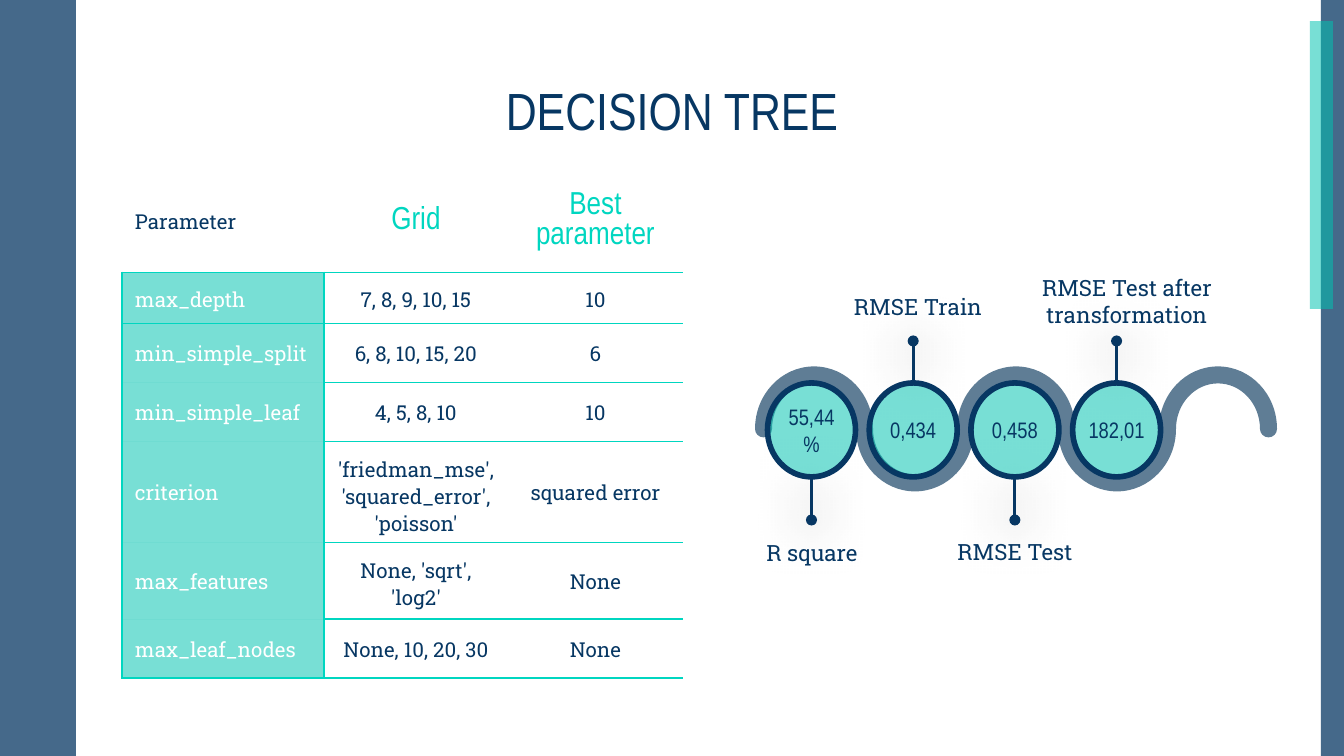
from math import cos, pi, sin

from lxml import etree
from pptx import Presentation
from pptx.dml.color import RGBColor
from pptx.enum.shapes import MSO_CONNECTOR, MSO_SHAPE
from pptx.enum.text import MSO_ANCHOR, PP_ALIGN
from pptx.oxml import parse_xml
from pptx.oxml.ns import nsdecls, qn
from pptx.util import Emu, Pt

PX = 9144000 / 1344  # EMU per px
W, H = 1344, 756

NAVY = RGBColor(0x07, 0x37, 0x63)
TEAL = RGBColor(0x00, 0xC3, 0xB1)
AQUA = RGBColor(0x00, 0xD6, 0xC0)
SLATE = RGBColor(0x5F, 0x7D, 0x95)
WHITE = RGBColor(0xFF, 0xFF, 0xFF)

HEAD, BODY = "Arial Narrow", "Roboto Slab"
PLAIN_TABLE = "{2D5ABB26-0587-4C30-8999-92F81FD0307C}"

TITLE = {"name": HEAD, "size": Pt(28)}
COL_HEAD = {"name": HEAD, "size": Pt(17)}
CELL = {"name": BODY, "size": Pt(11)}
VALUE = {"name": HEAD, "size": Pt(12)}
LABEL = {"name": BODY, "size": Pt(12)}

ROWS = [
    ("Parameter", "Grid", "Best parameter"),
    ("max_depth", "7, 8, 9, 10, 15", "10"),
    ("min_simple_split", "6, 8, 10, 15, 20", "6"),
    ("min_simple_leaf", "4, 5, 8, 10", "10"),
    ("criterion", "'friedman_mse', 'squared_error', 'poisson'", "squared error"),
    ("max_features", "None, 'sqrt', 'log2'", "None"),
    ("max_leaf_nodes", "None, 10, 20, 30", "None"),
]
COL_W = (202, 184, 175)
ROW_H = (88, 43, 59, 59, 99, 65, 59)  # rows grow to hold their text

# value, label, label box relative to the diagram
METRICS = [
    ("55,44 %", "R square", (-17, 265, 148, 50)),
    ("0,434", "RMSE Train", (89, 19, 148, 50)),
    ("0,458", "RMSE Test", (186, 264, 148, 50)),
    ("182,01", "RMSE Test after transformation", (260, 0, 224, 50)),
]


def px(*values):
    return [Emu(round(v * PX)) for v in values]


def set_fill(fill, color, alpha=100):
    fill.solid()
    fill.fore_color.rgb = color
    if alpha < 100:
        clr = fill._xPr.find(qn("a:solidFill")).find(qn("a:srgbClr"))
        etree.SubElement(clr, qn("a:alpha")).set("val", str(alpha * 1000))


def write(tf, text, fmt, color=NAVY, align=PP_ALIGN.CENTER):
    tf.word_wrap = True
    p = tf.paragraphs[0]
    p.alignment = align
    r = p.add_run()
    r.text = text
    for key, value in fmt.items():
        setattr(r.font, key, value)
    r.font.color.rgb = color


def set_margins(target, left, top, right, bottom):
    sides = ("left", "top", "right", "bottom")
    for side, value in zip(sides, px(left, top, right, bottom)):
        setattr(target, "margin_" + side, value)


def add_text(s, box, text, fmt, anchor=MSO_ANCHOR.TOP):
    tf = s.shapes.add_textbox(*px(*box)).text_frame
    set_margins(tf, 0, 1, 0, 0)
    tf.vertical_anchor = anchor
    write(tf, text, fmt)


def arc(cx, cy, rx, ry, start, turns):
    # Bezier points of quarter turns, clockwise when turns is positive
    points = []
    step = pi / 2 if turns > 0 else -pi / 2
    k = 0.5523 if turns > 0 else -0.5523
    for i in range(abs(turns)):
        a, b = start * pi / 180 + i * step, start * pi / 180 + (i + 1) * step
        points += [
            (cx + rx * (cos(a) - k * sin(a)), cy + ry * (sin(a) + k * cos(a))),
            (cx + rx * (cos(b) + k * sin(b)), cy + ry * (sin(b) - k * cos(b))),
            (cx + rx * cos(b), cy + ry * sin(b)),
        ]
    return points


def add_curve(s, curve):
    # Closed outline that ends where it starts; each three points make a Bezier
    points = [px(*point) for point in curve]
    builder = s.shapes.build_freeform(*points[-1], scale=1.0)
    builder.add_line_segments(points, close=True)
    sp = builder.convert_to_shape()
    lines = list(sp._element.iter(qn("a:lnTo")))
    for i in range(0, len(lines), 3):
        bezier = etree.Element(qn("a:cubicBezTo"))
        lines[i].addprevious(bezier)
        for line in lines[i:i + 3]:
            bezier.append(line[0])
            line.getparent().remove(line)
    sp.shadow.inherit = False
    return sp


def add_frame(s, w, h):
    # Side bars, then the accent across the right one
    for box, color, alpha in (
        ((0, 0, 76, h), NAVY, 75),
        ((w - 23, 0, 23, h), NAVY, 75),
        ((w - 34, 21, 23, 288), TEAL, 53),
    ):
        sp = s.shapes.add_shape(MSO_SHAPE.RECTANGLE, *px(*box))
        sp.shadow.inherit = False
        sp.line.fill.background()
        set_fill(sp.fill, color, alpha)


def add_borders(cell, sides):
    tc_pr = cell._tc.get_or_add_tcPr()
    for side in sides:
        tc_pr.append(parse_xml(
            f'<a:ln{side} {nsdecls("a")} w="9525"><a:solidFill>'
            f'<a:srgbClr val="{AQUA}"/></a:solidFill></a:ln{side}>'))


def add_parameter_table(s, x, y):
    frame = s.shapes.add_table(len(ROWS), len(COL_W),
                               *px(x, y, sum(COL_W), sum(ROW_H)))
    tbl = frame.table
    tbl.first_row = tbl.horz_banding = False
    tbl._tbl.tblPr.find(qn("a:tableStyleId")).text = PLAIN_TABLE
    for col, width in zip(tbl.columns, px(*COL_W)):
        col.width = width
    for row, height in zip(tbl.rows, px(*ROW_H)):
        row.height = height

    last = len(ROWS) - 1
    for i, row in enumerate(ROWS):
        for j, text in enumerate(row):
            cell = tbl.cell(i, j)
            cell.vertical_anchor = MSO_ANCHOR.MIDDLE
            set_margins(cell, 13, 14, 13, 13)
            name_cell = i > 0 and j == 0
            if name_cell:
                add_borders(cell, "LR" + "T" * (i == 1) + "B" * (i == last))
                set_fill(cell.fill, TEAL, 53)
            else:
                add_borders(cell, "TB" if i else "B")
                cell.fill.background()
            col_head = i == 0 and j > 0
            write(cell.text_frame, text, COL_HEAD if col_head else CELL,
                  AQUA if col_head else WHITE if name_cell else NAVY,
                  PP_ALIGN.CENTER if j else PP_ALIGN.LEFT)


def add_wave(s, x, mid, pitch=101, half=8.5, arcs=5):
    # Ribbon of alternating half rings with round ends
    def half_ring(k, side):
        up = 1 if k % 2 == 0 else -1
        grow = side * up * half
        return arc(x + half + pitch * (k + 0.5), mid, pitch / 2 + grow, 54 + grow,
                   180 if side > 0 else 0, 2 * up * side)

    curve = []
    for k in range(arcs):
        curve += half_ring(k, 1)
    curve += arc(x + half + arcs * pitch, mid, half, half, 0, 2)
    for k in reversed(range(arcs)):
        curve += half_ring(k, -1)
    curve += arc(x + half, mid, half, half, 0, 2)
    sp = add_curve(s, curve)
    sp.line.fill.background()
    set_fill(sp.fill, SLATE)


def add_pin(s, x, y1, y2):
    ln = s.shapes.add_connector(MSO_CONNECTOR.STRAIGHT, *px(x, y1, x, y2))
    ln.line.color.rgb = NAVY
    ln.line.width = Pt(1.5)
    etree.SubElement(ln.line._get_or_add_ln(), qn("a:tailEnd")).set("type", "oval")
    ln._element.spPr.append(parse_xml(
        f'<a:effectLst {nsdecls("a")}><a:outerShdw blurRad="356870" dist="19050" '
        'dir="5400000" algn="bl" rotWithShape="0"><a:srgbClr val="000000">'
        '<a:alpha val="73000"/></a:srgbClr></a:outerShdw></a:effectLst>'))


def add_metrics(s, x, y):
    add_wave(s, x, y + 156)
    top, w, h, pitch = y + 110, 88, 94, 101.7
    centers = [x + 56.5 + pitch * i for i in range(len(METRICS))]

    # Pins point down and up in turn
    for i, cx in enumerate(centers):
        add_pin(s, cx, *((top, top - 42) if i % 2 else (top + h, top + h + 43)))

    # Value circles
    for cx, (value, _, _) in zip(centers, METRICS):
        sp = add_curve(s, arc(cx, top + h / 2, w / 2, h / 2, 0, 4))
        set_fill(sp.fill, TEAL, 53)
        sp.line.color.rgb = NAVY
        sp.line.width = Pt(3)
        set_margins(sp.text_frame, 13, 13, 13, 13)
        sp.text_frame.vertical_anchor = MSO_ANCHOR.MIDDLE
        write(sp.text_frame, value, VALUE)

    # Labels
    for _, label, (dx, dy, label_w, label_h) in METRICS:
        add_text(s, (x + dx, y + dy, label_w, label_h), label, LABEL)


def main():
    prs = Presentation()
    prs.slide_width, prs.slide_height = px(W, H)
    s = prs.slides.add_slide(prs.slide_layouts[6])
    add_frame(s, W, H)
    add_text(s, (106, 80, 1132, 59), "DECISION TREE", TITLE, MSO_ANCHOR.MIDDLE)
    add_parameter_table(s, 122, 169)
    add_metrics(s, 755, 273)
    prs.save("out.pptx")


if __name__ == "__main__":
    main()
